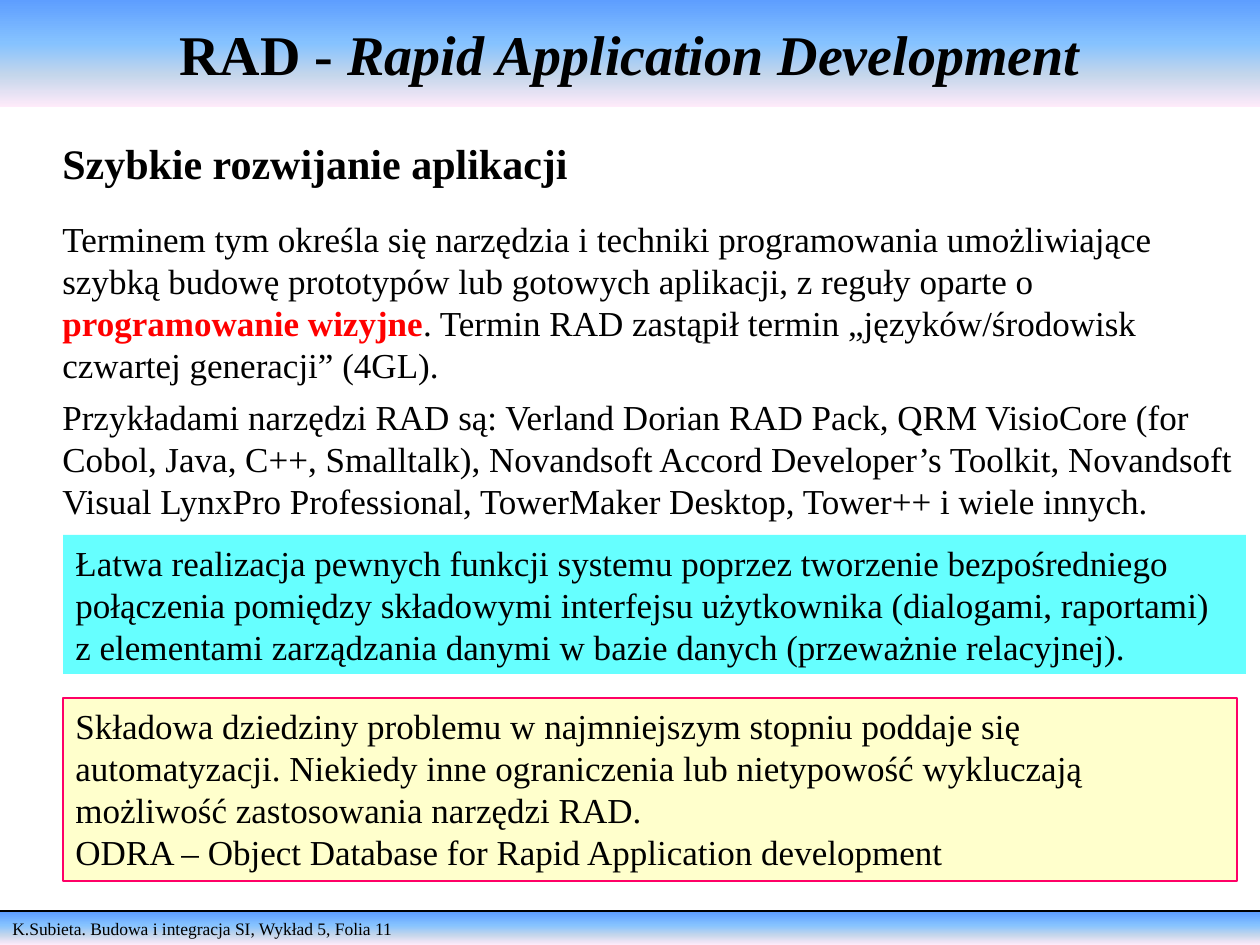
from lxml.etree import SubElement
from pptx import Presentation
from pptx.dml.color import RGBColor
from pptx.enum.shapes import MSO_CONNECTOR, MSO_SHAPE
from pptx.enum.text import MSO_ANCHOR, PP_ALIGN
from pptx.oxml.ns import qn
from pptx.util import Pt

PX = 914400 // 126
WIDTH, HEIGHT = 1260, 945
FONT = "Times New Roman"
BLACK = RGBColor(0x00, 0x00, 0x00)
RED = RGBColor(0xFF, 0x00, 0x00)
CYAN = RGBColor(0x66, 0xFF, 0xFF)
CREAM = RGBColor(0xFF, 0xFF, 0xCC)
PINK = RGBColor(0xFF, 0x00, 0x66)
BAND_STOPS = [(0, "5E9EFF"), (40, "85C2FF"), (70, "C4D6EB"), (100, "FFEBFA")]


def add_box(left, top, width, height, paragraphs, size):
    shape = slide.shapes.add_shape(
        MSO_SHAPE.RECTANGLE, left * PX, top * PX, width * PX, height * PX
    )
    shape.shadow.inherit = False
    shape.fill.background()
    shape.line.fill.background()
    text_frame = shape.text_frame
    text_frame.word_wrap = True
    text_frame.vertical_anchor = MSO_ANCHOR.TOP
    for index, pieces in enumerate(paragraphs):
        paragraph = text_frame.add_paragraph() if index else text_frame.paragraphs[0]
        paragraph.alignment = PP_ALIGN.LEFT
        for piece in pieces:
            run = paragraph.add_run()
            run.text = piece
            run.font.name = FONT
            run.font.size = Pt(size)
            run.font.color.rgb = BLACK
    return shape


def fill_band(shape):
    shape.fill.gradient()
    shape.fill.gradient_angle = 270
    stop_list = shape._element.spPr.find(qn("a:gradFill")).find(qn("a:gsLst"))
    stop_list.clear()
    for percent, color in BAND_STOPS:
        stop = SubElement(stop_list, qn("a:gs"), pos=str(percent * 1000))
        SubElement(stop, qn("a:srgbClr"), val=color)


presentation = Presentation()
presentation.slide_width = WIDTH * PX
presentation.slide_height = HEIGHT * PX
slide = presentation.slides.add_slide(presentation.slide_layouts[6])

footer = add_box(
    0, 912, WIDTH, 33, [["K.Subieta. Budowa i integracja SI, Wykład 5, Folia 11"]], 10
)
fill_band(footer)

footer_line = slide.shapes.add_connector(
    MSO_CONNECTOR.STRAIGHT, 0, 911 * PX, WIDTH * PX, 911 * PX
)
footer_line.line.color.rgb = BLACK
footer_line.line.width = Pt(1)
SubElement(footer_line._element.spPr, qn("a:effectLst"))

title = add_box(0, 0, WIDTH, 107, [["RAD - ", "Rapid Application Development"]], 32)
fill_band(title)
title.text_frame.vertical_anchor = MSO_ANCHOR.MIDDLE
title_paragraph = title.text_frame.paragraphs[0]
title_paragraph.alignment = PP_ALIGN.CENTER
for run in title_paragraph.runs:
    run.font.bold = True
title_paragraph.runs[1].font.italic = True

body = add_box(50, 131, 1210, 407, [
    ["Szybkie rozwijanie aplikacji"],
    [
        "Terminem tym określa się narzędzia i techniki programowania umożliwiające "
        "szybką budowę prototypów lub gotowych aplikacji, z reguły oparte o ",
        "programowanie wizyjne",
        ". Termin RAD zastąpił termin „języków/środowisk czwartej generacji” (4GL).",
    ],
    [
        "Przykładami narzędzi RAD są: Verland Dorian RAD Pack, QRM VisioCore (for "
        "Cobol, Java, C++, Smalltalk), Novandsoft Accord Developer’s Toolkit, Novandsoft "
        "Visual LynxPro Professional, TowerMaker Desktop, Tower++ i wiele innych."
    ],
], 20)
heading, definition, examples = body.text_frame.paragraphs
heading.runs[0].font.size = Pt(24)
heading.runs[0].font.bold = True
definition.space_before = Pt(17)
definition.runs[1].font.bold = True
definition.runs[1].font.color.rgb = RED
examples.space_before = Pt(6)

benefit = add_box(63, 535, 1183, 139, [[
    "Łatwa realizacja pewnych funkcji systemu poprzez tworzenie bezpośredniego "
    "połączenia pomiędzy składowymi interfejsu użytkownika (dialogami, raportami) "
    "z elementami zarządzania danymi w bazie danych (przeważnie relacyjnej)."
]], 20)
benefit.fill.solid()
benefit.fill.fore_color.rgb = CYAN

limits = add_box(63, 698, 1174, 183, [
    [
        "Składowa dziedziny problemu w najmniejszym stopniu poddaje się "
        "automatyzacji. Niekiedy inne ograniczenia lub nietypowość wykluczają "
        "możliwość zastosowania narzędzi RAD."
    ],
    ["ODRA – Object Database for Rapid Application development"],
], 20)
limits.fill.solid()
limits.fill.fore_color.rgb = CREAM
limits.line.color.rgb = PINK
limits.line.width = Pt(1)

presentation.save("out.pptx")
